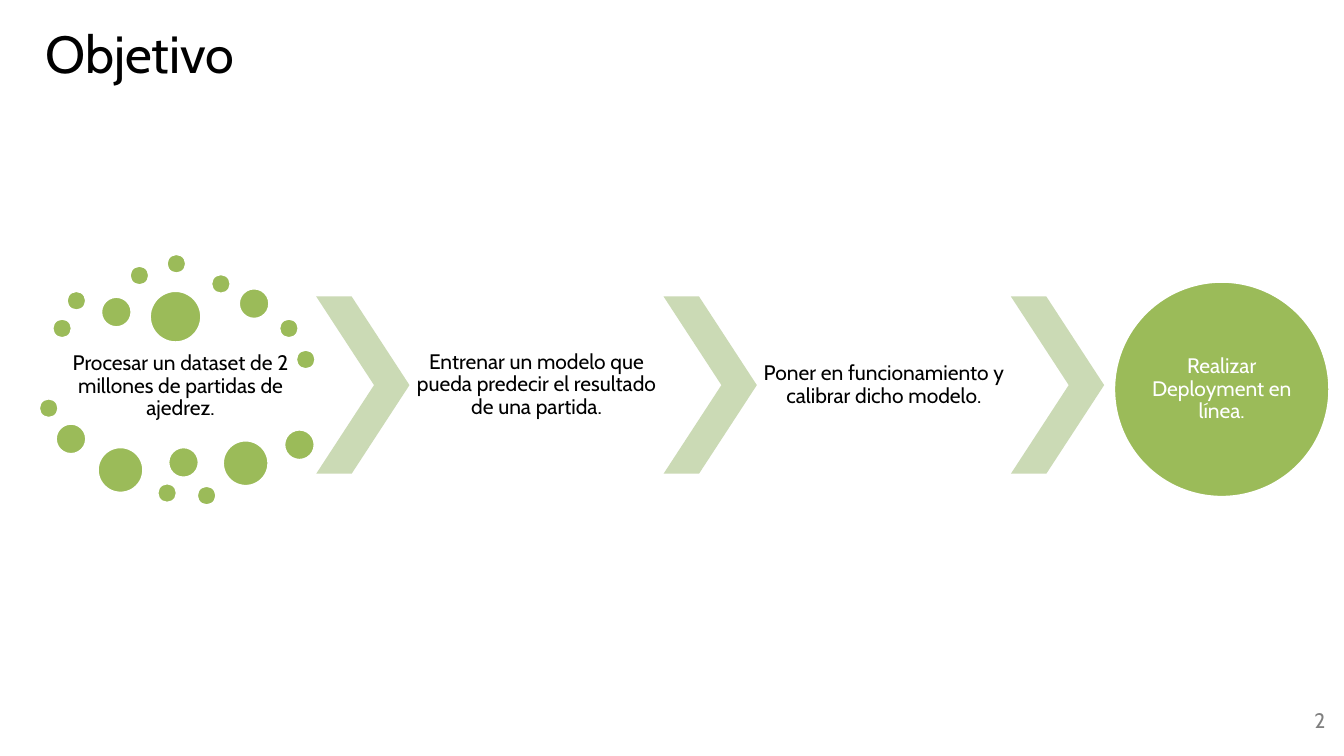
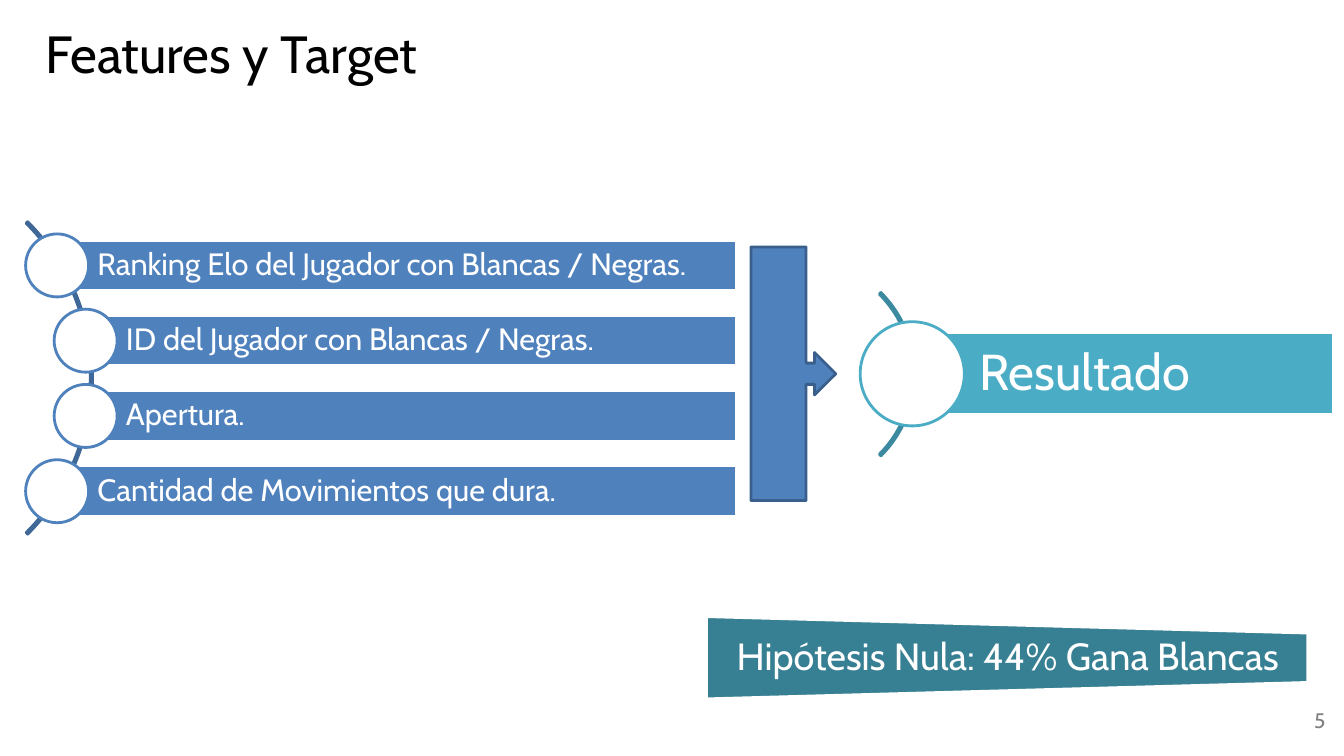
from pptx import Presentation
from pptx.dml.color import RGBColor
from pptx.enum.shapes import MSO_SHAPE
from pptx.enum.text import MSO_ANCHOR, MSO_AUTO_SIZE, PP_ALIGN
from pptx.util import Emu, Pt

COLUMNS, ROWS = 160, 90
CELL = 76200
COLORS = {
    "black": "000000",
    "white": "FFFFFF",
    "gray": "808080",
    "green": "9BBB59",
    "pale_green": "CBDAB5",
    "blue": "4F81BD",
    "dark_blue": "3F6797",
    "navy": "3A5F8C",
    "cyan": "4BACC6",
    "dark_cyan": "3C8A9F",
    "teal": "377F92",
}


def cells(*counts):
    return [Emu(round(count * CELL)) for count in counts]


class Deck:
    font = "Cabin"
    line_width = Pt(2)
    title_box = (4.2, 0.8, 152.8, 9.8)
    number_box = (152.8, 83.9, 6, 4)

    def __init__(self):
        self.presentation = Presentation()
        self.presentation.slide_width, self.presentation.slide_height = cells(COLUMNS, ROWS)
        self.slide = None

    def add_slide(self, title, number):
        self.slide = self.presentation.slides.add_slide(self.presentation.slide_layouts[5])
        placeholder = self.slide.shapes.title
        (placeholder.left, placeholder.top,
         placeholder.width, placeholder.height) = cells(*self.title_box)
        self.fill_text(placeholder, title, 37.3, "black", PP_ALIGN.LEFT,
                       (1.2, 0.6, 1.2, 0.6), MSO_ANCHOR.BOTTOM, spacing=1)
        self.text(self.number_box, number, 15, "gray", PP_ALIGN.RIGHT,
                  (0, 0.6, 1, 0.6), wrap=False)

    def fill_text(self, shape, content, size, color, align, insets,
                  anchor=MSO_ANCHOR.MIDDLE, spacing=0.9, wrap=True):
        frame = shape.text_frame
        frame.auto_size = MSO_AUTO_SIZE.NONE
        frame.word_wrap = wrap
        frame.vertical_anchor = anchor
        (frame.margin_left, frame.margin_top,
         frame.margin_right, frame.margin_bottom) = cells(*insets)
        paragraph = frame.paragraphs[0]
        paragraph.alignment = align
        paragraph.line_spacing = spacing
        run = paragraph.add_run()
        run.text = content
        run.font.name = self.font
        run.font.size = Pt(size)
        run.font.color.rgb = RGBColor.from_string(COLORS[color])

    def text(self, box, content, size, color="black", align=PP_ALIGN.CENTER,
             insets=(0.2, 0.2, 0.2, 0.2), wrap=True):
        shape = self.slide.shapes.add_textbox(*cells(*box))
        self.fill_text(shape, content, size, color, align, insets, wrap=wrap)

    def shape(self, kind, box, fill=None, line=None, adjustments=()):
        shape = self.slide.shapes.add_shape(kind, *cells(*box))
        shape.shadow.inherit = False
        if fill:
            shape.fill.solid()
            shape.fill.fore_color.rgb = RGBColor.from_string(COLORS[fill])
        else:
            shape.fill.background()
        if line:
            shape.line.color.rgb = RGBColor.from_string(COLORS[line])
            shape.line.width = self.line_width
        else:
            shape.line.fill.background()
        for index, value in enumerate(adjustments):
            shape.adjustments[index] = value
        return shape

    def circle(self, left, top, diameter, fill="green", line="white"):
        return self.shape(MSO_SHAPE.OVAL, (left, top, diameter, diameter), fill, line)

    def chevron(self, left, top, width, height):
        self.shape(MSO_SHAPE.CHEVRON, (left, top, width, height), "pale_green",
                   adjustments=[0.62])

    def arc(self, left, top, diameter, line, thickness):
        self.shape(MSO_SHAPE.BLOCK_ARC, (left, top, diameter, diameter), line=line,
                   adjustments=[189, 27, thickness])

    def bar(self, left, top, right, height, diameter, color, content, size, insets):
        bar = self.shape(MSO_SHAPE.RECTANGLE, (left, top, right - left, height), color, "white")
        self.fill_text(bar, content, size, "white", PP_ALIGN.LEFT, insets)
        self.circle(left - diameter / 2, top + (height - diameter) / 2,
                    diameter, "white", color)

    def banner(self, left, top, width, height, content):
        turned = (left + (width - height) / 2, top + (height - width) / 2, height, width)
        shape = self.shape(MSO_SHAPE.FLOWCHART_MANUAL_OPERATION, turned, "teal", "white")
        shape.rotation = 270
        self.text((left, top + height / 5, width, height * 0.6), content, 27, "white",
                  insets=(2.3, 0, 2.2, 0))


def build_goal(deck):
    deck.add_slide("Objetivo", "2")
    deck.text((6.4, 41, 30.2, 10), "Procesar un dataset de 2 millones de partidas de ajedrez.", 15)
    dots = {
        2.4: [(6.2, 37.9), (7.9, 34.6), (15.4, 31.6), (19.8, 30.2), (25.1, 32.6),
              (33.2, 37.9), (35.2, 41.6), (4.6, 47.4), (18.7, 57.5), (23.4, 57.8)],
        3.7: [(12, 35.3), (28.4, 34.3), (6.6, 50.4), (20, 53.2), (33.8, 51.1)],
        5.5: [(11.6, 53.2), (26.5, 52.4)],
        6.2: [(17.8, 34.6)],
    }
    for diameter, places in dots.items():
        for left, top in places:
            deck.circle(left, top, diameter)

    first, pitch, top, width, height = 37.65, 41.35, 35.3, 11.1, 21.1
    steps = ["Entrenar un modelo que pueda predecir el resultado de una partida.",
             "Poner en funcionamiento y calibrar dicho modelo."]
    for index in range(len(steps) + 1):
        deck.chevron(first + index * pitch, top, width, height)
    for index, step in enumerate(steps):
        deck.text((first + index * pitch + width, top, pitch - width, height), step, 15)
    final = deck.circle(132.6, 33.5, 25.7)
    deck.fill_text(final, "Realizar Deployment en línea.", 15, "white",
                   PP_ALIGN.CENTER, (0, 0, 0, 0))


def build_features(deck):
    deck.add_slide("Features y Target", "5")
    deck.arc(-41.6, 18.7, 52.6, "dark_blue", 0.005)
    features = [(6.8, "Ranking Elo del Jugador con Blancas / Negras."),
                (10.2, "ID del Jugador con Blancas / Negras."),
                (10.2, "Apertura."),
                (6.8, "Cantidad de Movimientos que dura.")]
    for index, (left, feature) in enumerate(features):
        deck.bar(left, 28.6 + index * 8.96, 87.7, 6, 7.5, "blue", feature, 22,
                 (4.8, 0.7, 0.7, 0.7))
    deck.arc(81.4, 30.8, 27.5, "dark_cyan", 0.01)
    deck.bar(108.6, 39.6, 158.8, 9.8, 12.4, "cyan", "Resultado", 36, (8, 1.2, 1.2, 1.2))
    deck.shape(MSO_SHAPE.RIGHT_ARROW_CALLOUT, (89.4, 29.4, 10.1, 30.2), "blue", "navy")
    deck.banner(84.1, 73.4, 71.6, 9.8, "Hipótesis Nula: 44% Gana Blancas")


def main():
    deck = Deck()
    build_goal(deck)
    build_features(deck)
    deck.presentation.save("out.pptx")


if __name__ == "__main__":
    main()
